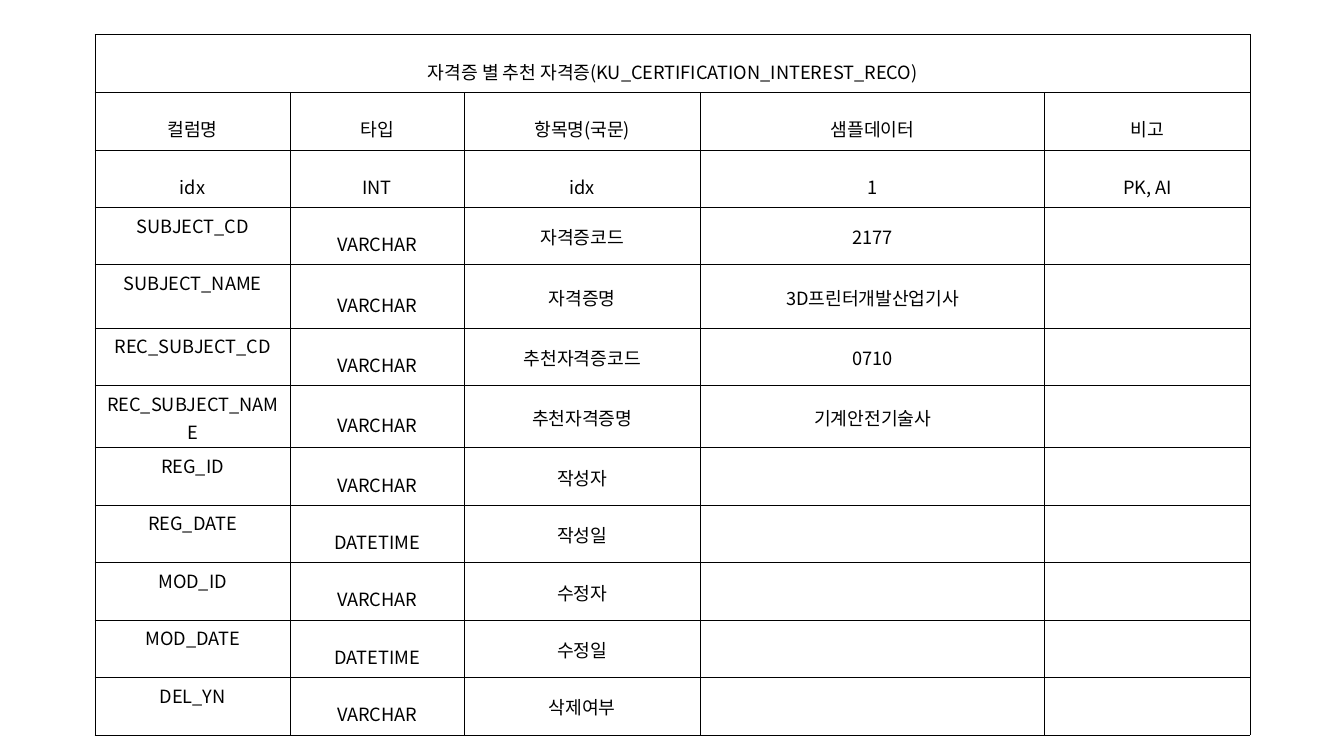
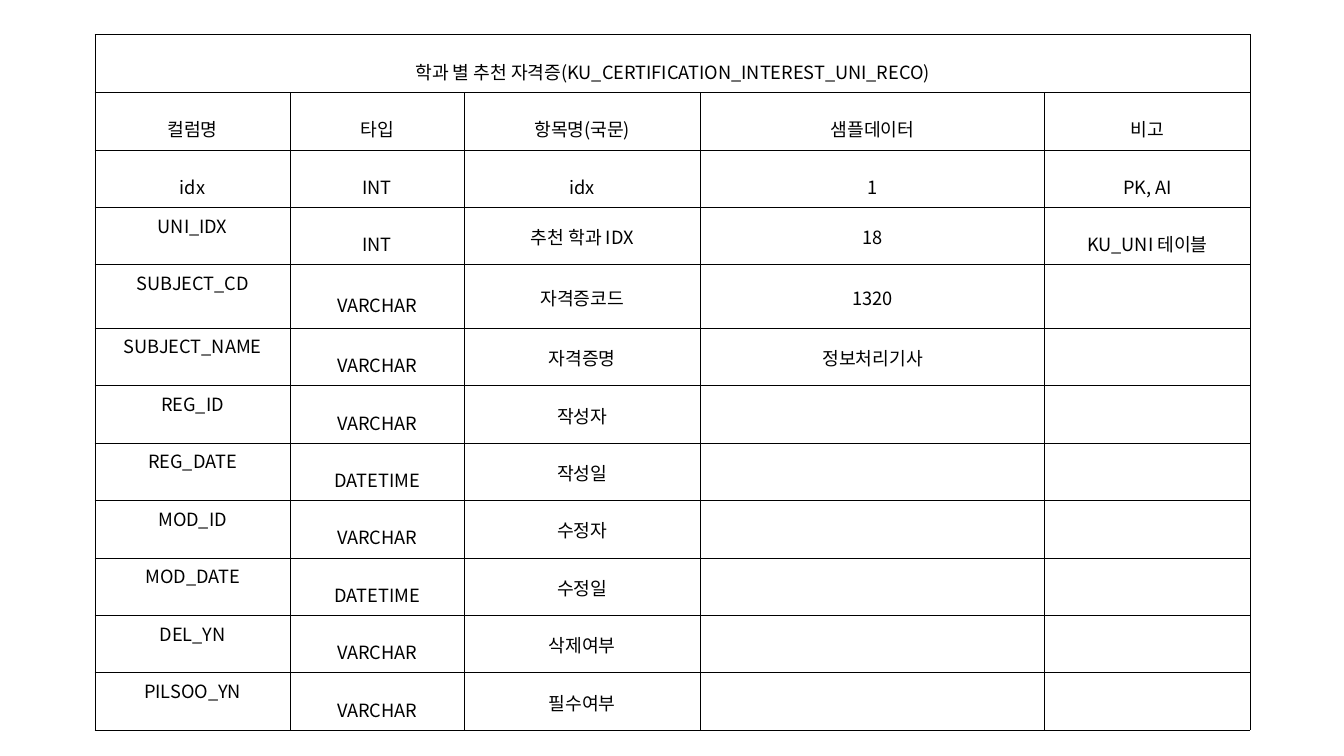
"""Build two slides that define the certificate recommendation database tables."""
from dataclasses import dataclass

from lxml.etree import SubElement
from pptx import Presentation
from pptx.dml.color import RGBColor
from pptx.enum.text import MSO_ANCHOR as ANCHOR, PP_ALIGN as ALIGN
from pptx.oxml.ns import qn
from pptx.util import Inches, Pt

COLORS = {"ink": "000000", "paper": "FFFFFF"}
FONT = "Noto Sans CJK KR"
TEXT_SIZE = Pt(13)
BORDER = Pt(0.43)
LEFT, TOP = 0.94, 0.34
COL_WIDTHS = [1.94, 1.72, 2.35, 3.41, 2.04]
TITLE_HEIGHT, ROW_HEIGHT, TALL_HEIGHT = 0.51, 0.57, 0.63
TALL_ROW = 4


@dataclass(frozen=True)
class CellStyle:
    margins: tuple[float, float] = (0.12, 0.03)
    anchor: ANCHOR = ANCHOR.MIDDLE
    spacing: float = 1.6
    after: float = 0
    filled: bool = False


@dataclass(frozen=True)
class Field:
    name: str
    type: str
    label: str
    sample: str = ""
    note: str = ""

    def texts(self) -> list[str]:
        return [self.name, self.type, self.label, self.sample, self.note]


@dataclass(frozen=True)
class TableSpec:
    title: str
    fields: list[Field]


TITLE = CellStyle(margins=(0.16, 0.08))
LOOSE = CellStyle()
TIGHT = CellStyle(spacing=1.07, after=8, filled=True)
NAME = CellStyle(anchor=ANCHOR.TOP, spacing=1.07, after=8, filled=True)
FIELD_STYLES = [NAME, LOOSE, TIGHT, TIGHT, LOOSE]

HEAD = [
    Field("컬럼명", "타입", "항목명(국문)", "샘플데이터", "비고"),
    Field("idx", "INT", "idx", "1", "PK, AI"),
]
AUDIT = [
    Field("REG_ID", "VARCHAR", "작성자"),
    Field("REG_DATE", "DATETIME", "작성일"),
    Field("MOD_ID", "VARCHAR", "수정자"),
    Field("MOD_DATE", "DATETIME", "수정일"),
    Field("DEL_YN", "VARCHAR", "삭제여부"),
]
TABLES = [
    TableSpec("자격증 별 추천 자격증(KU_CERTIFICATION_INTEREST_RECO)", [
        Field("SUBJECT_CD", "VARCHAR", "자격증코드", "2177"),
        Field("SUBJECT_NAME", "VARCHAR", "자격증명", "3D프린터개발산업기사"),
        Field("REC_SUBJECT_CD", "VARCHAR", "추천자격증코드", "0710"),
        Field("REC_SUBJECT_NAME", "VARCHAR", "추천자격증명", "기계안전기술사"),
        *AUDIT,
    ]),
    TableSpec("학과 별 추천 자격증(KU_CERTIFICATION_INTEREST_UNI_RECO)", [
        Field("UNI_IDX", "INT", "추천 학과 IDX", "18", "KU_UNI 테이블"),
        Field("SUBJECT_CD", "VARCHAR", "자격증코드", "1320"),
        Field("SUBJECT_NAME", "VARCHAR", "자격증명", "정보처리기사"),
        *AUDIT,
        Field("PILSOO_YN", "VARCHAR", "필수여부"),
    ]),
]


def add_borders(cell) -> None:
    tc_pr = cell._tc.get_or_add_tcPr()
    for side in ("lnL", "lnR", "lnT", "lnB"):
        ln = SubElement(tc_pr, qn(f"a:{side}"), w=str(int(BORDER)))
        fill = SubElement(ln, qn("a:solidFill"))
        SubElement(fill, qn("a:srgbClr"), val=COLORS["ink"])


def add_text(cell, text: str, style: CellStyle) -> None:
    p = cell.text_frame.paragraphs[0]
    p.alignment = ALIGN.CENTER
    p.line_spacing = style.spacing
    p.space_after = Pt(style.after)
    r = p.add_run()
    r.text = text
    r.font.size = TEXT_SIZE
    r.font.color.rgb = RGBColor.from_string(COLORS["ink"])
    r.font.name = FONT
    SubElement(r._r.get_or_add_rPr(), qn("a:ea"), typeface=FONT)


def style_cell(cell, text: str, style: CellStyle) -> None:
    add_borders(cell)
    if style.filled:
        cell.fill.solid()
        cell.fill.fore_color.rgb = RGBColor.from_string(COLORS["paper"])
    else:
        cell.fill.background()
    side, edge = style.margins
    cell.margin_left = cell.margin_right = Inches(side)
    cell.margin_top = cell.margin_bottom = Inches(edge)
    cell.vertical_anchor = style.anchor
    if text:
        add_text(cell, text, style)


def add_definition(prs, spec: TableSpec) -> None:
    s = prs.slides.add_slide(prs.slide_layouts[6])
    fields = HEAD + spec.fields
    heights = [TITLE_HEIGHT] + [ROW_HEIGHT] * len(fields)
    heights[TALL_ROW] = TALL_HEIGHT
    table = s.shapes.add_table(
        len(heights), len(COL_WIDTHS), Inches(LEFT), Inches(TOP),
        Inches(sum(COL_WIDTHS)), Inches(sum(heights))).table
    table.first_row = table.horz_banding = False
    for column, width in zip(table.columns, COL_WIDTHS):
        column.width = Inches(width)
    for row, height in zip(table.rows, heights):
        row.height = Inches(height)

    table.cell(0, 0).merge(table.cell(0, len(COL_WIDTHS) - 1))
    for i in range(len(COL_WIDTHS)):
        style_cell(table.cell(0, i), "" if i else spec.title, TITLE)
    for j, field in enumerate(fields, 1):
        styles = FIELD_STYLES if j > len(HEAD) else [LOOSE] * len(COL_WIDTHS)
        for i, (text, style) in enumerate(zip(field.texts(), styles)):
            style_cell(table.cell(j, i), text, style)


def main() -> None:
    prs = Presentation()
    prs.slide_width, prs.slide_height = Inches(13.33), Inches(7.5)
    for spec in TABLES:
        add_definition(prs, spec)
    prs.save("out.pptx")


if __name__ == "__main__":
    main()
